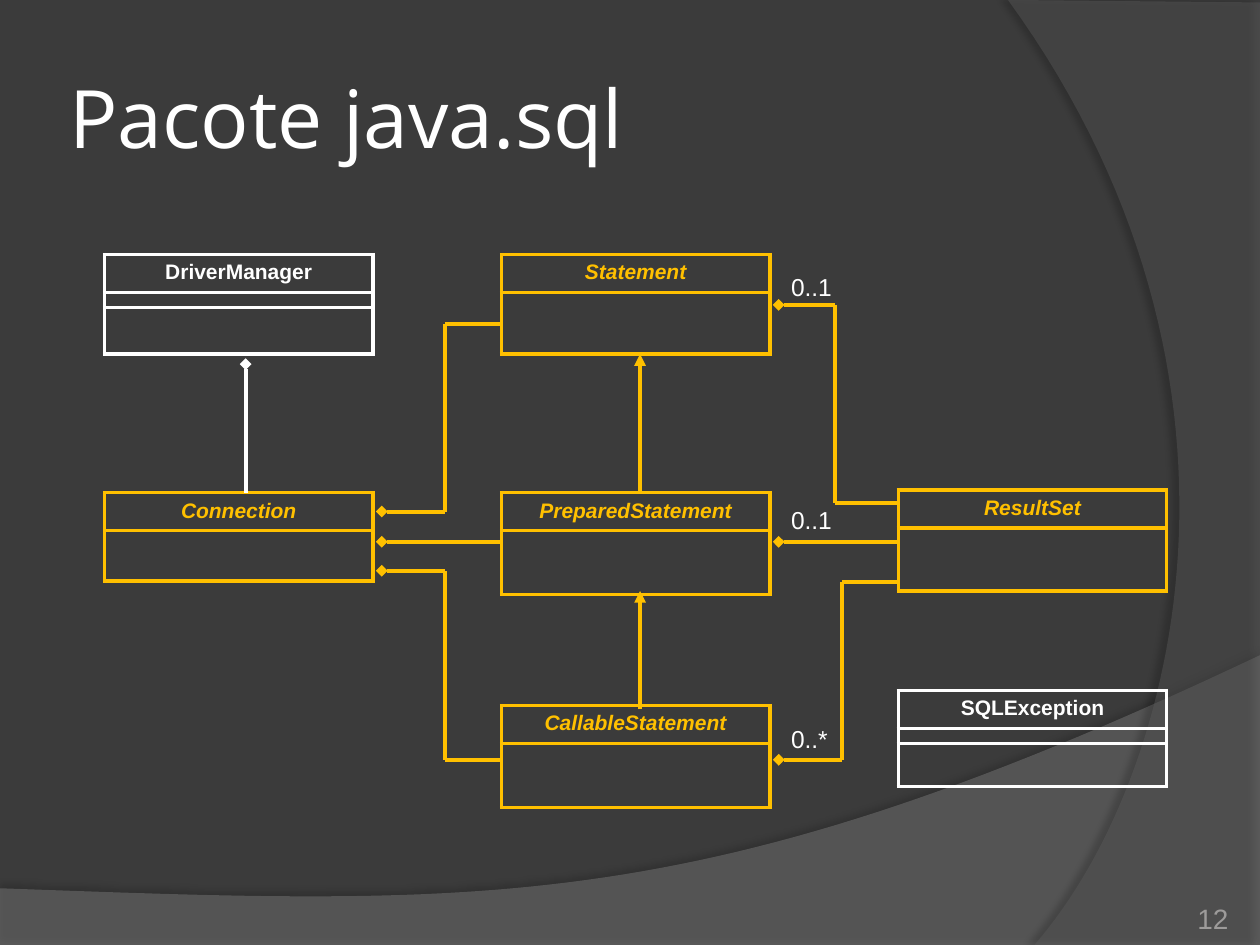
from itertools import pairwise
from lxml.etree import SubElement
from pptx import Presentation
from pptx.dml.color import RGBColor
from pptx.enum.shapes import MSO_CONNECTOR
from pptx.enum.text import MSO_ANCHOR, PP_ALIGN
from pptx.oxml import parse_xml
from pptx.oxml.ns import nsdecls, qn
from pptx.util import Inches, Pt

BACKDROP = RGBColor(0x3B, 0x3B, 0x3B)
WAVE = RGBColor(0x7F, 0x7F, 0x7F)
ARC = RGBColor(0x5E, 0x5E, 0x5E)
WHITE = RGBColor(0xFF, 0xFF, 0xFF)
AMBER = RGBColor(0xFF, 0xC0, 0x00)
GREY = RGBColor(0x9D, 0x9B, 0x9A)
LINE_WIDTH = Pt(2.25)
BOX_WIDTH = 2.13
HEADER = 0.29
LEFT, MIDDLE, RIGHT = 0.83, 3.98, 7.13
DIAMOND_LEFT, DIAMOND_RIGHT = 3.03, 6.18


def write(tf, text, size, color, font="Arial", align=PP_ALIGN.LEFT, bold=False, italic=False):
    p = tf.paragraphs[0]
    p.alignment = align
    r = p.add_run()
    r.text = text
    r.font.name = font
    r.font.size = Pt(size)
    r.font.bold = bold
    r.font.italic = italic
    r.font.color.rgb = color


def add_text(s, box, text, size, color, inset=(0.1, 0.05), anchor=MSO_ANCHOR.TOP, wrap=True, **fmt):
    tf = s.shapes.add_textbox(*map(Inches, box)).text_frame
    tf.word_wrap = wrap
    tf.vertical_anchor = anchor
    tf.margin_left = tf.margin_right = Inches(inset[0])
    tf.margin_top = tf.margin_bottom = Inches(inset[1])
    write(tf, text, size, color, **fmt)


def bezier(p0, p1, p2, p3, steps=60):
    for i in range(steps + 1):
        t = i / steps
        u = 1 - t
        yield tuple(u**3 * a + 3 * u * u * t * b + 3 * u * t * t * c + t**3 * d
                    for a, b, c, d in zip(p0, p1, p2, p3))


def add_swoosh(s, points, color, opacity, shadow_opacity, distance, direction):
    start, *rest = [(Inches(x), Inches(y)) for x, y in points]
    builder = s.shapes.build_freeform(*start)
    builder.add_line_segments(rest, close=True)
    sp = builder.convert_to_shape()
    sp.fill.solid()
    sp.fill.fore_color.rgb = color
    sp.line.fill.background()
    srgb = sp.fill._xPr.find(qn("a:solidFill"))[0]
    SubElement(srgb, qn("a:alpha"), val=str(opacity * 1000))
    sp._element.spPr.append(parse_xml(
        f'<a:effectLst {nsdecls("a")}><a:outerShdw blurRad="{Pt(4)}" dist="{Pt(distance)}" '
        f'dir="{direction * 60000}" rotWithShape="0"><a:srgbClr val="000000">'
        f'<a:alpha val="{shadow_opacity * 1000}"/></a:srgbClr></a:outerShdw></a:effectLst>'))


def add_background(s):
    s.background.fill.solid()
    s.background.fill.fore_color.rgb = BACKDROP
    wave = [(0, 7.51), (10, 7.51), *bezier((10, 5.2), (5.59, 7.29), (3.91, 7.19), (0, 7.05))]
    arc = [(10, 0.02), (10, 7.5), *bezier((8.21, 7.5), (9.35, 6.19), (10.18, 3), (8, 0))]
    add_swoosh(s, wave, WAVE, 45, 35, 3.5, 270)
    add_swoosh(s, arc, ARC, 40, 45, 4, 180)


def set_borders(cell, color):
    tcPr = cell._tc.get_or_add_tcPr()
    for i, side in enumerate(("lnL", "lnR", "lnT", "lnB")):
        tcPr.insert(i, parse_xml(
            f'<a:{side} {nsdecls("a")} w="{LINE_WIDTH}"><a:solidFill><a:srgbClr val="{color}"/>'
            f'</a:solidFill></a:{side}>'))


def add_class(s, left, top, name, rows, color, italic):
    frame = s.shapes.add_table(len(rows), 1, Inches(left), Inches(top),
                               Inches(BOX_WIDTH), Inches(sum(rows)))
    table = frame.table
    table.first_row = table.horz_banding = False
    for i, height in enumerate(rows):
        table.rows[i].height = Inches(height)
        cell = table.cell(i, 0)
        cell.fill.background()
        set_borders(cell, color)
        if i == 0:
            write(cell.text_frame, name, 12, color, align=PP_ALIGN.CENTER, bold=True, italic=italic)
        else:
            cell.margin_top = cell.margin_bottom = 0
            SubElement(cell.text_frame.paragraphs[0]._p, qn("a:endParaRPr"), sz="100")


def add_path(s, points, color=AMBER, tip="diamond"):
    for start, end in pairwise(points):
        line = s.shapes.add_connector(MSO_CONNECTOR.STRAIGHT, *map(Inches, (*start, *end)))
        line.line.color.rgb = color
        line.line.width = LINE_WIDTH
        if end == points[-1]:
            SubElement(line.line._get_or_add_ln(), qn("a:tailEnd"), type=tip)
        SubElement(line._element.spPr, qn("a:effectLst"))


def add_diagram(s):
    concrete = (
        (LEFT, 2.02, "DriverManager", 0.37),
        (RIGHT, 5.48, "SQLException", 0.34),
    )
    interfaces = (
        (LEFT, 3.91, "Connection", 0.4),
        (MIDDLE, 2.02, "Statement", 0.49),
        (MIDDLE, 3.91, "PreparedStatement", 0.51),
        (MIDDLE, 5.6, "CallableStatement", 0.51),
        (RIGHT, 3.89, "ResultSet", 0.5),
    )
    for left, top, name, body in concrete:
        add_class(s, left, top, name, (HEADER, 0.12, body), WHITE, False)
    for left, top, name, body in interfaces:
        add_class(s, left, top, name, (HEADER, body), AMBER, True)

    links = (
        (MIDDLE, 2.57, 3.53, DIAMOND_LEFT, 4.06),
        (MIDDLE, 6.03, 3.53, DIAMOND_LEFT, 4.53),
        (RIGHT, 3.99, 6.63, DIAMOND_RIGHT, 2.42),
        (RIGHT, 4.62, 6.68, DIAMOND_RIGHT, 6.03),
    )
    for x1, y1, bend, x2, y2 in links:
        add_path(s, [(x1, y1), (bend, y1), (bend, y2), (x2, y2)])
    for x1, x2 in ((MIDDLE, DIAMOND_LEFT), (RIGHT, DIAMOND_RIGHT)):
        add_path(s, [(x1, 4.3), (x2, 4.3)])
    for y1, y2 in ((3.91, 2.81), (5.63, 4.69)):
        add_path(s, [(5.08, y1), (5.08, y2)], tip="triangle")
    add_path(s, [(1.95, 3.91), (1.95, 2.89)], WHITE)

    for top, text in ((2.11, "0..1"), (3.96, "0..1"), (5.7, "0..*")):
        add_text(s, (DIAMOND_RIGHT, top, 0.53, 0.34), text, 14, WHITE, wrap=False)


prs = Presentation()
prs.slide_width, prs.slide_height = Inches(10), Inches(7.5)
s = prs.slides.add_slide(prs.slide_layouts[6])
add_background(s)
add_text(s, (0.5, 0.3, 8.17, 1.25), "Pacote java.sql", 46, WHITE, inset=(0.05, 0.05),
         anchor=MSO_ANCHOR.MIDDLE, font="Open Sans")
add_text(s, (8.92, 7.02, 0.83, 0.4), "12", 16, GREY, inset=(0, 0),
         anchor=MSO_ANCHOR.BOTTOM, align=PP_ALIGN.RIGHT)
add_diagram(s)
prs.save("out.pptx")
